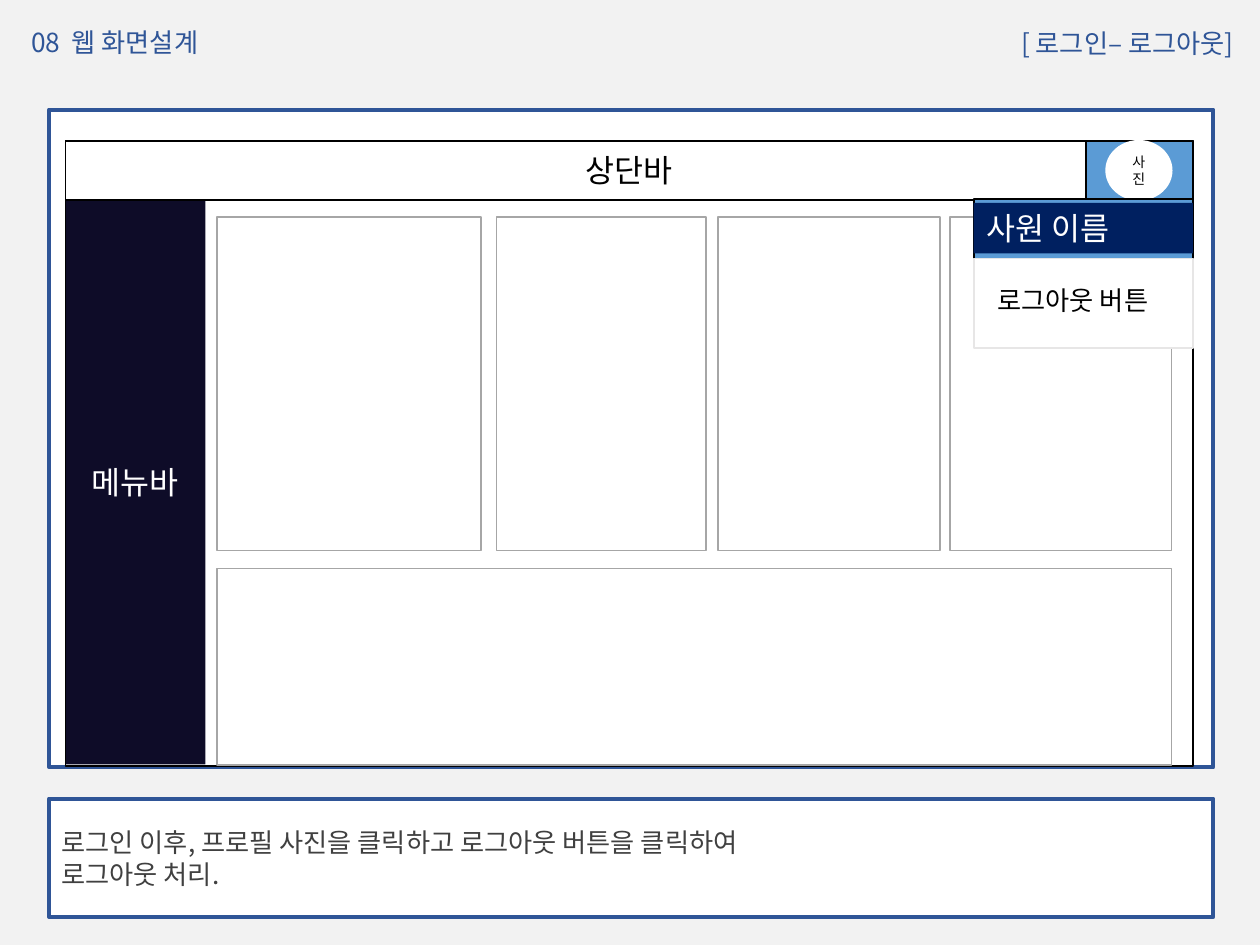
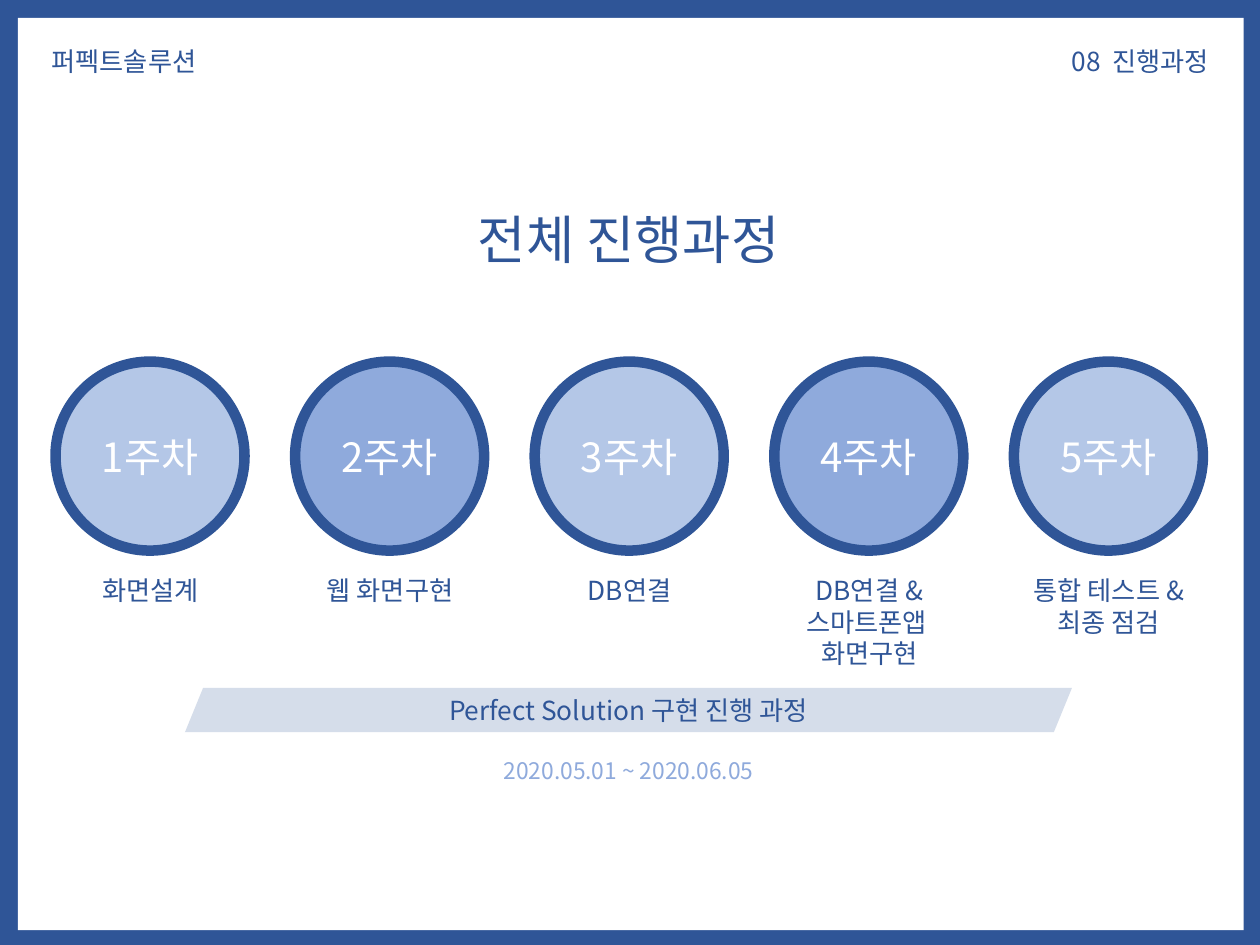
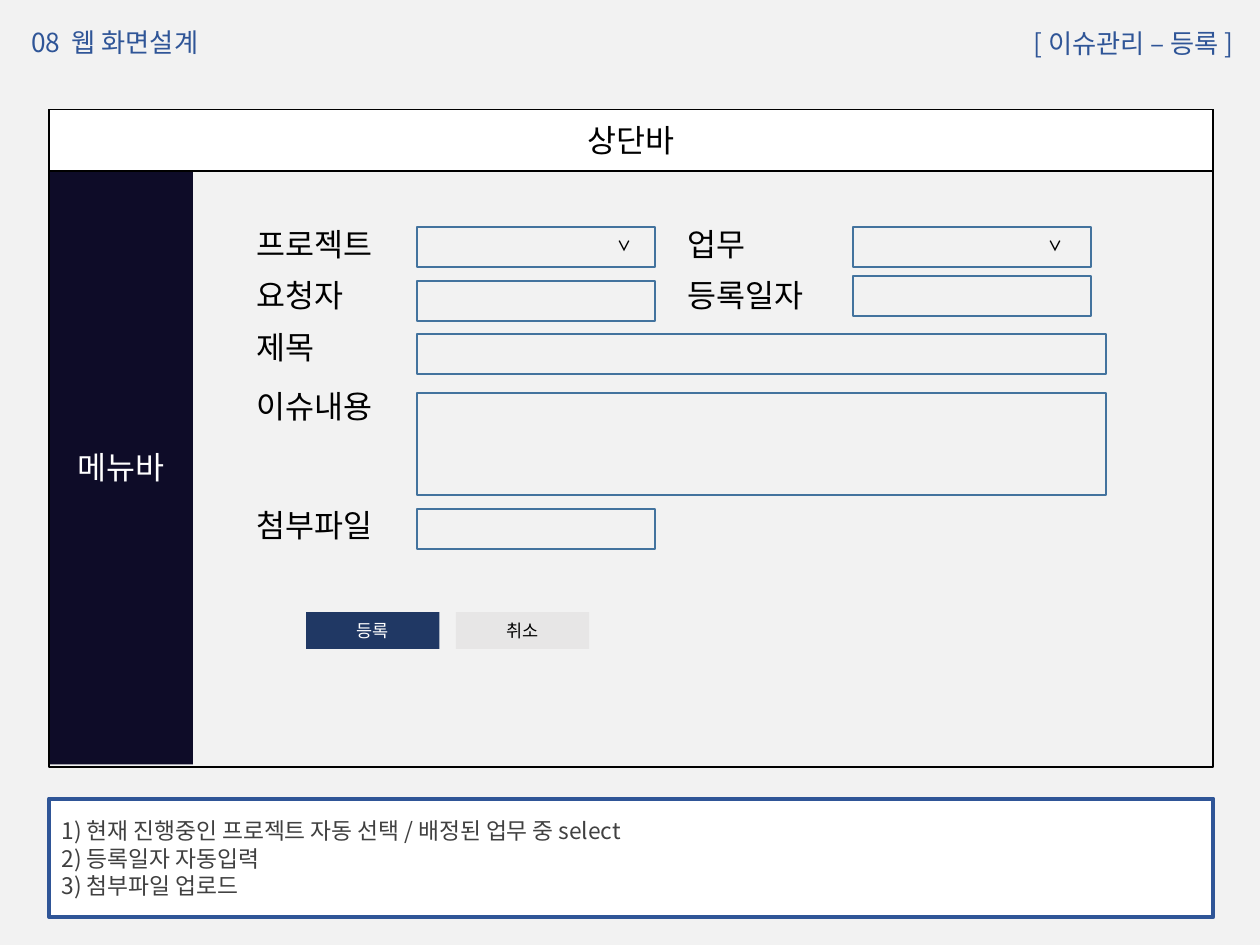
from dataclasses import dataclass
from typing import Optional

from lxml.etree import SubElement
from pptx import Presentation
from pptx.dml.color import RGBColor
from pptx.enum.shapes import MSO_SHAPE
from pptx.enum.text import MSO_ANCHOR, MSO_AUTO_SIZE, PP_ALIGN
from pptx.oxml.ns import qn
from pptx.util import Cm, Pt

# Colours and fonts
BLUE = RGBColor(0x2F, 0x55, 0x97)
SKY = RGBColor(0x8F, 0xAA, 0xDC)
PALE = RGBColor(0xB4, 0xC7, 0xE7)
AZURE = RGBColor(0x5B, 0x9B, 0xD5)
STEEL = RGBColor(0x43, 0x73, 0x9E)
NAVY = RGBColor(0x00, 0x20, 0x60)
DEEP = RGBColor(0x20, 0x38, 0x64)
INK = RGBColor(0x0E, 0x0C, 0x28)
BLACK = RGBColor(0x00, 0x00, 0x00)
DARK = RGBColor(0x40, 0x40, 0x40)
GREY = RGBColor(0xA6, 0xA6, 0xA6)
SILVER = RGBColor(0xE7, 0xE6, 0xE6)
MIST = RGBColor(0xF2, 0xF2, 0xF2)
WHITE = RGBColor(0xFF, 0xFF, 0xFF)

NOTO = "Noto Sans CJK KR"
LATIN = "Calibri"
ARIAL = "Arial"

MID, RIGHT = PP_ALIGN.CENTER, PP_ALIGN.RIGHT


@dataclass(frozen=True)
class Box:
    """Place and size in centimetres."""
    x: float
    y: float
    w: float
    h: float

    def place(self) -> tuple:
        return Cm(self.x), Cm(self.y), Cm(self.w), Cm(self.h)


@dataclass(frozen=True)
class Field:
    """A form label with its entry box."""
    name: str
    left: float
    top: float
    entry: Box
    pick: Optional[float] = None


# Places shared by the slides
PAGE = Box(0, 0, 25.4, 19.05)
SCREEN = Box(0.99, 2.21, 23.47, 13.26)
NOTE = Box(0.99, 16.1, 23.47, 2.39)
HEAD = Box(0.38, 0.41, 7.47, 0.89)
TAG = Box(14.96, 0.43, 10.16, 0.89)


# Drawing tools
def write(shape, text: str, *, size: float = 15, color: RGBColor = BLUE,
          font: str = NOTO, align=PP_ALIGN.LEFT, anchor=MSO_ANCHOR.TOP,
          bold: bool = False, gap: int = 0) -> None:
    """Fill a shape with text; gap widens the first space, in points."""
    frame = shape.text_frame
    frame.word_wrap = True
    frame.auto_size = MSO_AUTO_SIZE.NONE
    frame.vertical_anchor = anchor
    for i, line in enumerate(text.split("\n")):
        para = frame.add_paragraph() if i else frame.paragraphs[0]
        para.alignment = align
        for part in line.partition(" ") if gap else [line]:
            run = para.add_run()
            run.text = part
            run.font.size = Pt(size)
            run.font.bold = bold
            run.font.color.rgb = color
            run.font.name = font
            props = run.font._element
            SubElement(props, qn("a:ea")).set("typeface", NOTO)
            if part == " ":
                props.set("spc", str(gap * 100))


def draw(slide, box: Box, fill: Optional[RGBColor] = None,
         line: Optional[RGBColor] = None, width: float = 1,
         kind=MSO_SHAPE.RECTANGLE):
    shape = slide.shapes.add_shape(kind, *box.place())
    shape.shadow.inherit = False
    if fill is None:
        shape.fill.background()
    else:
        shape.fill.solid()
        shape.fill.fore_color.rgb = fill
    if line is None:
        shape.line.fill.background()
    else:
        shape.line.color.rgb = line
        shape.line.width = Pt(width)
    return shape


def label(slide, box: Box, text: str, **style) -> None:
    write(slide.shapes.add_textbox(*box.place()), text, **style)


def panel(slide, box: Box, fill: RGBColor, text: str,
          line: Optional[RGBColor] = None, **style) -> None:
    write(draw(slide, box, fill, line), text,
          align=MID, anchor=MSO_ANCHOR.MIDDLE, **style)


def title(slide, box: Box, text: str, **style) -> None:
    """Place the title above the shapes drawn so far."""
    shape = slide.shapes.title
    shape.left, shape.top, shape.width, shape.height = box.place()
    tree = shape.element.getparent()
    tree.append(shape.element)
    write(shape, text, **style)


def start(deck, fill: RGBColor):
    slide = deck.slides.add_slide(deck.slide_layouts[5])
    draw(slide, PAGE, fill)
    return slide


def design(deck, tag: str, note: str, size: float):
    """Start a screen design slide with its header and note."""
    slide = start(deck, MIST)
    write(draw(slide, NOTE, WHITE, BLUE, 2.25), note, size=size,
          color=DARK, anchor=MSO_ANCHOR.MIDDLE)
    title(slide, HEAD, "08 웹 화면설계", gap=3)
    label(slide, TAG, tag, align=RIGHT)
    return slide


def shell(slide, menu: Box, bar: Box, outer: Box, font: str) -> None:
    """Draw the menu, top bar and outline of the web page."""
    panel(slide, menu, INK, "메뉴바", size=18, color=WHITE, font=font)
    panel(slide, bar, WHITE, "상단바", BLACK,
          size=18, color=BLACK, font=font)
    draw(slide, outer, line=BLACK)


# Slide 1: log out
def logout(deck) -> None:
    slide = design(
        deck, "[ 로그인– 로그아웃]",
        "로그인 이후, 프로필 사진을 클릭하고 로그아웃 버튼을 클릭하여\n"
        "로그아웃 처리.", 15)
    draw(slide, SCREEN, WHITE, BLUE, 2.25)
    shell(slide, Box(1.32, 4.01, 2.82, 11.4), Box(1.32, 2.84, 22.73, 1.19),
          Box(1.32, 2.84, 22.73, 12.6), LATIN)

    # Content cards
    for x, w in ((4.37, 5.33), (10.01, 4.22), (14.48, 4.47), (19.15, 4.47)):
        draw(slide, Box(x, 4.37, w, 6.73), line=GREY)
    draw(slide, Box(4.37, 11.46, 19.25, 3.96), line=GREY)

    # Profile photo and its menu
    draw(slide, Box(21.89, 2.84, 2.16, 1.19), AZURE, BLACK)
    photo = draw(slide, Box(22.3, 2.84, 1.32, 1.19), WHITE, WHITE,
                 kind=MSO_SHAPE.OVAL)
    write(photo, "사진", size=8, color=BLACK, font=ARIAL, align=MID,
          anchor=MSO_ANCHOR.MIDDLE)
    draw(slide, Box(19.63, 4.01, 4.42, 2.97), AZURE, BLACK)
    name = draw(slide, Box(19.63, 4.09, 4.42, 1.02), NAVY)
    write(name, "사원 이름", size=18, color=WHITE, font=LATIN)
    draw(slide, Box(19.63, 5.21, 4.42, 1.8), WHITE, SILVER)
    label(slide, Box(19.86, 5.61, 3.94, 0.89), "로그아웃 버튼",
          color=BLACK, font=LATIN)


# Slide 2: weekly progress
def weeks(deck) -> None:
    slide = start(deck, BLUE)
    draw(slide, Box(0.36, 0.36, 24.71, 18.39), WHITE)
    title(slide, Box(5.92, 4.04, 13.51, 1.55), "전체 진행과정",
          size=30, align=MID)
    label(slide, Box(0.79, 0.79, 7.47, 0.89), "퍼펙트솔루션")
    label(slide, Box(17.15, 0.79, 7.47, 0.89), "08 진행과정",
          align=RIGHT, gap=3)

    # One circle and task per week
    tasks = ("화면설계", "웹 화면구현", "DB연결",
             "DB연결 &\n스마트폰앱 \n화면구현", "통합 테스트 &\n최종 점검")
    for i, task in enumerate(tasks):
        step = 4.83 * i
        ring = draw(slide, Box(1.12 + step, 7.29, 3.81, 3.81),
                    SKY if i % 2 else PALE, BLUE, 6, MSO_SHAPE.OVAL)
        write(ring, f"{i + 1}주차", size=23, color=WHITE, align=MID,
              anchor=MSO_ANCHOR.MIDDLE)
        tall = 0.89 + 0.65 * task.count("\n")
        label(slide, Box(0.81 + step, 11.46, 4.45, tall), task, align=MID)

    # Ribbon and dates
    band = draw(slide, Box(3.73, 13.87, 17.88, 0.89), BLUE,
                kind=MSO_SHAPE.PARALLELOGRAM)
    band.adjustments[0] = 0.41
    tint = band.element.spPr.find(qn("a:solidFill"))[0]
    SubElement(tint, qn("a:alpha")).set("val", "20000")
    write(band, "Perfect Solution 구현 진행 과정", align=MID,
          anchor=MSO_ANCHOR.MIDDLE)
    label(slide, Box(5, 15.14, 15.34, 0.81), "2020.05.01 ~ 2020.06.05",
          size=13, color=SKY, align=MID)


# Slide 3: issue form
FORM = (
    Field("프로젝트", 4.93, 4.42, Box(8.41, 4.57, 4.8, 0.81), 12.19),
    Field("요청자", 4.93, 5.44, Box(8.41, 5.66, 4.8, 0.81)),
    Field("제목", 4.93, 6.48, Box(8.41, 6.73, 13.89, 0.81)),
    Field("이슈내용", 4.93, 7.67, Box(8.41, 7.92, 13.89, 2.06)),
    Field("첨부파일", 4.93, 10.08, Box(8.41, 10.26, 4.8, 0.81)),
    Field("업무", 13.61, 4.42, Box(17.2, 4.57, 4.8, 0.81), 20.88),
    Field("등록일자", 13.61, 5.44, Box(17.2, 5.56, 4.8, 0.81)),
)


def issue(deck) -> None:
    slide = design(
        deck, "[ 이슈관리 – 등록 ]",
        "1) 현재 진행중인 프로젝트 자동 선택 / 배정된 업무 중 select\n"
        "2) 등록일자 자동입력\n"
        "3) 첨부파일 업로드", 13)
    shell(slide, Box(0.99, 3.4, 2.9, 12.01), Box(0.99, 2.21, 23.47, 1.24),
          SCREEN, NOTO)
    for item in FORM:
        label(slide, Box(item.left, item.top, 3.68, 1.02), item.name,
              size=18, color=BLACK)
        draw(slide, item.entry, line=STEEL)
        if item.pick is not None:
            label(slide, Box(item.pick, 4.67, 0.81, 0.61), "∨",
                  size=8, color=BLACK, bold=True)

    # Buttons
    keys = (("등록", DEEP, WHITE), ("취소", SILVER, BLACK))
    for i, (text, fill, color) in enumerate(keys):
        panel(slide, Box(6.17 + 3.02 * i, 12.34, 2.69, 0.74), fill, text,
              size=10, color=color)


def main() -> None:
    deck = Presentation()
    deck.slide_width, deck.slide_height = Cm(PAGE.w), Cm(PAGE.h)
    logout(deck)
    weeks(deck)
    issue(deck)
    deck.save("out.pptx")


if __name__ == "__main__":
    main()
